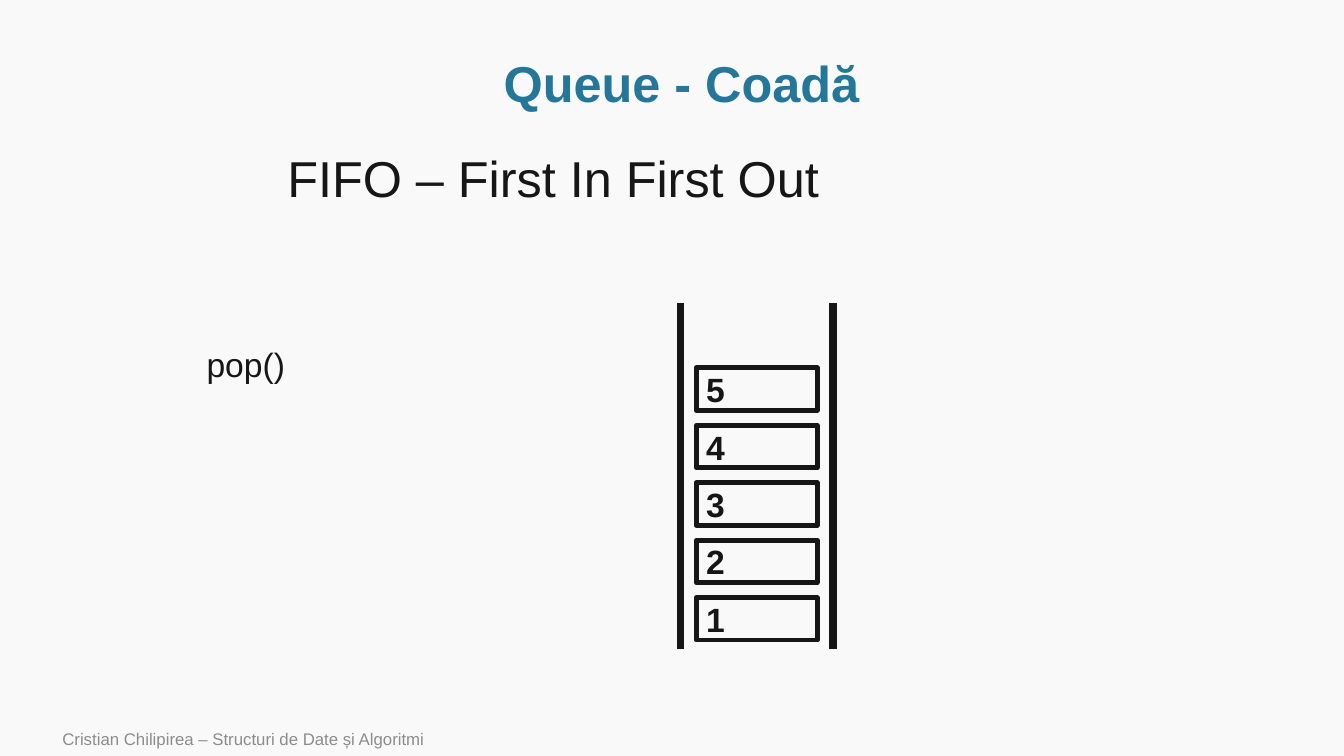
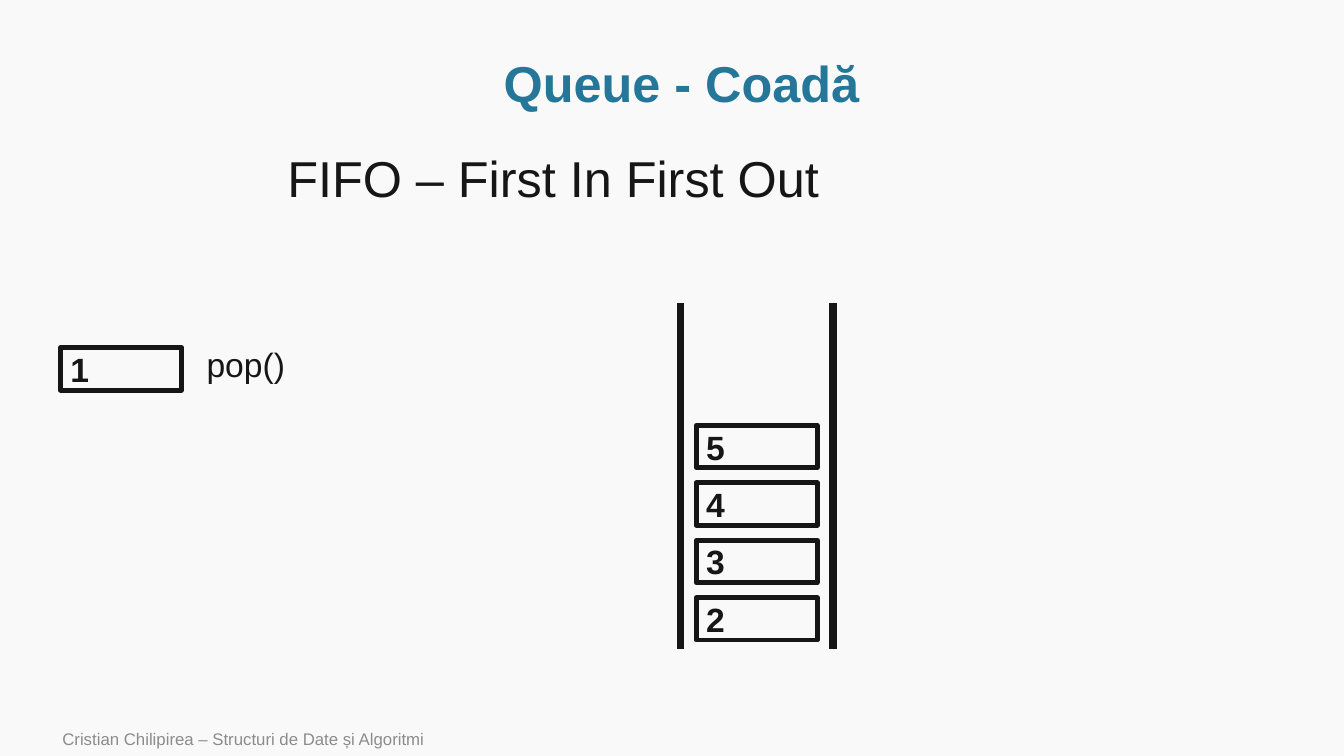
from lxml import etree
from pptx import Presentation
from pptx.dml.color import RGBColor
from pptx.enum.shapes import MSO_CONNECTOR, MSO_SHAPE
from pptx.enum.text import MSO_ANCHOR, MSO_AUTO_SIZE, PP_ALIGN
from pptx.oxml.ns import qn
from pptx.util import Inches, Pt

RECTANGLE = MSO_SHAPE.RECTANGLE
STRAIGHT = MSO_CONNECTOR.STRAIGHT
TOP, MIDDLE = MSO_ANCHOR.TOP, MSO_ANCHOR.MIDDLE
LEFT, CENTER = PP_ALIGN.LEFT, PP_ALIGN.CENTER
NO_AUTOFIT, GROW = MSO_AUTO_SIZE.NONE, MSO_AUTO_SIZE.SHAPE_TO_FIT_TEXT
TITLE_AND_CONTENT = 1

COLORS = {"background": "F9F9F9", "title": "247798", "ink": "171616", "footer": "8C8C8C"}
FONTS = {
    "title": {"size": Pt(36), "bold": True},
    "subtitle": {"size": Pt(36), "bold": False},
    "operation": {"size": Pt(24), "bold": False},
    "item": {"size": Pt(24), "bold": True},
    "footer": {"size": Pt(12), "bold": False},
}
FRAME = {"word_wrap": True, "auto_size": NO_AUTOFIT, "vertical_anchor": MIDDLE}
PARAGRAPH = {"alignment": LEFT, "space_before": Pt(0)}

TITLE_BOX = (1.01, 0.51, 11.5, 0.69)
SUBTITLE_BOX = (2.75, 1.48, 6.08, 0.84)
OPERATION_BOX = (1.95, 3.36, 0.99, 0.5)
FOOTER_BOX = (0.52, 7.16, 8.4, 0.34)
QUEUE_BOX = (6.75, 3.01, 1.51, 3.43)
POPPED_POSITION = (0.6, 3.45)
ITEM_WIDTH, ITEM_HEIGHT = 1.2, 0.42
ITEM_PITCH, BOTTOM_GAP = 0.57, 0.09

QUEUE_STATES = [
    {"waiting": [1, 2, 3, 4, 5], "popped": None},
    {"waiting": [2, 3, 4, 5], "popped": 1},
]


def rgb(name):
    return RGBColor.from_string(COLORS[name])


def set_attributes(target, values):
    for name, value in values.items():
        setattr(target, name, value)


def to_inches(box):
    return [Inches(value) for value in box]


def write_text(shape, text, style, color="ink", frame=None, paragraph_format=None):
    text_frame = shape.text_frame
    text_frame.text = text
    set_attributes(text_frame, FRAME | (frame or {}))
    paragraph = text_frame.paragraphs[0]
    set_attributes(paragraph, PARAGRAPH | (paragraph_format or {}))
    font = paragraph.runs[0].font
    set_attributes(font, {"name": "Arial"} | FONTS[style])
    font.color.rgb = rgb(color)


def fill_placeholder(placeholder, box, *text_arguments, **text_options):
    names = ("left", "top", "width", "height")
    set_attributes(placeholder, dict(zip(names, to_inches(box))))
    write_text(placeholder, *text_arguments, **text_options)


def remove_bullet(paragraph):
    properties = paragraph._p.get_or_add_pPr()
    properties.set("marL", "0")
    properties.set("indent", "0")
    etree.SubElement(properties, qn("a:buNone"))


def add_label(slide, box, *text_arguments, **text_options):
    label = slide.shapes.add_textbox(*to_inches(box))
    write_text(label, *text_arguments, **text_options)


def add_headings(slide):
    fill_placeholder(slide.shapes.title, TITLE_BOX, "Queue - Coadă", "title", "title",
                     paragraph_format={"alignment": CENTER, "line_spacing": 0.9})
    subtitle = slide.placeholders[1]
    fill_placeholder(subtitle, SUBTITLE_BOX, "FIFO – First In First Out", "subtitle",
                     frame={"vertical_anchor": TOP}, paragraph_format={"line_spacing": 0.9})
    remove_bullet(subtitle.text_frame.paragraphs[0])


def add_item(slide, left, top, number):
    item = slide.shapes.add_shape(RECTANGLE, *to_inches((left, top, ITEM_WIDTH, ITEM_HEIGHT)))
    item.shadow.inherit = False
    item.fill.background()
    item.line.color.rgb = rgb("ink")
    item.line.width = Pt(3.5)
    write_text(item, str(number), "item")


def add_wall(slide, x, top, bottom):
    wall = slide.shapes.add_connector(STRAIGHT, *to_inches((x, top, x, bottom)))
    wall.line.color.rgb = rgb("ink")
    wall.line.width = Pt(5.5)
    etree.SubElement(wall._element.spPr, qn("a:effectLst"))


def add_queue(slide, box, numbers):
    left, top, width, height = box
    bottom = top + height
    for x in (left, left + width):
        add_wall(slide, x, top, bottom)
    item_left = left + (width - ITEM_WIDTH) / 2
    lowest_top = bottom - BOTTOM_GAP - ITEM_HEIGHT
    for level, number in enumerate(numbers):
        add_item(slide, item_left, lowest_top - level * ITEM_PITCH, number)


def add_queue_slide(presentation, waiting, popped):
    slide = presentation.slides.add_slide(presentation.slide_layouts[TITLE_AND_CONTENT])
    add_label(slide, FOOTER_BOX, "Cristian Chilipirea – Structuri de Date și Algoritmi",
              "footer", "footer")
    add_headings(slide)
    add_label(slide, OPERATION_BOX, "pop()", "operation",
              frame={"word_wrap": False, "auto_size": GROW, "vertical_anchor": TOP})
    add_queue(slide, QUEUE_BOX, waiting)
    if popped is not None:
        add_item(slide, *POPPED_POSITION, popped)


def main():
    presentation = Presentation()
    presentation.slide_width = Inches(13.33)
    presentation.slide_height = Inches(7.5)
    background = presentation.slide_master.background.fill
    background.solid()
    background.fore_color.rgb = rgb("background")
    for state in QUEUE_STATES:
        add_queue_slide(presentation, **state)
    presentation.save("out.pptx")


if __name__ == "__main__":
    main()
